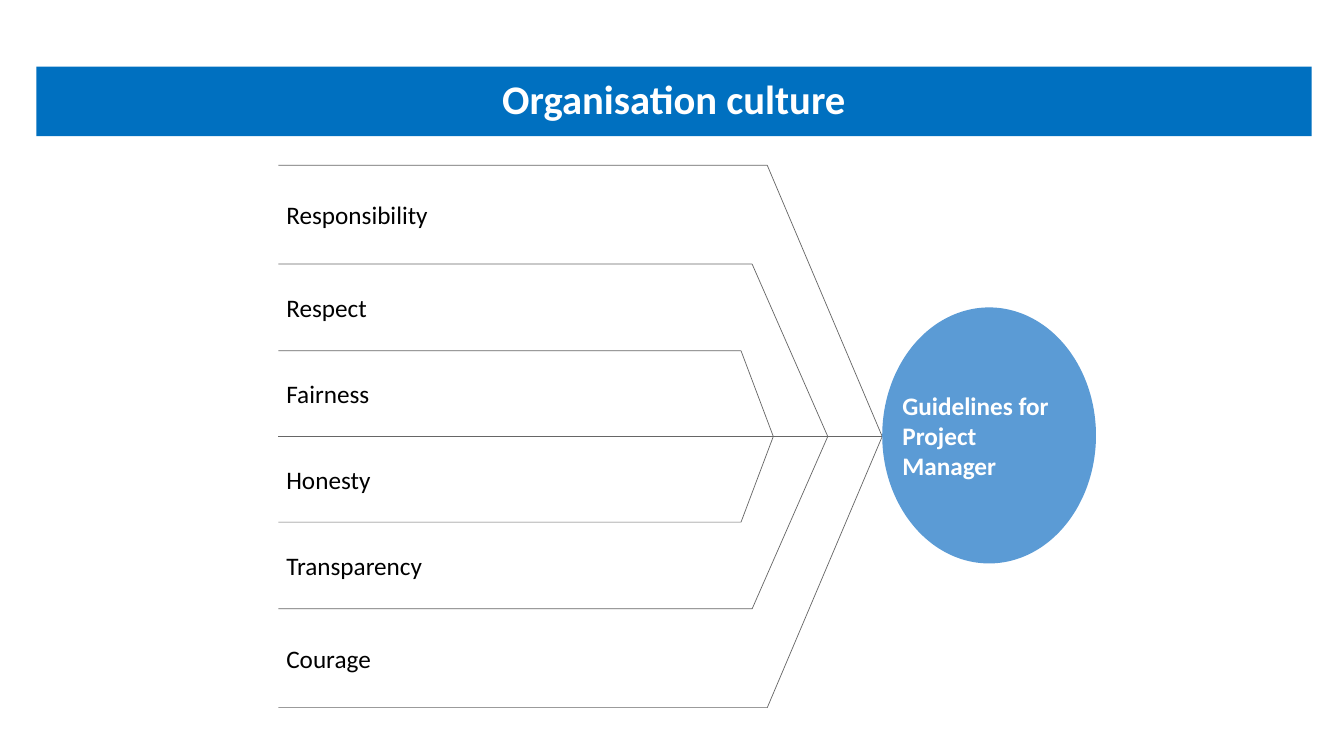
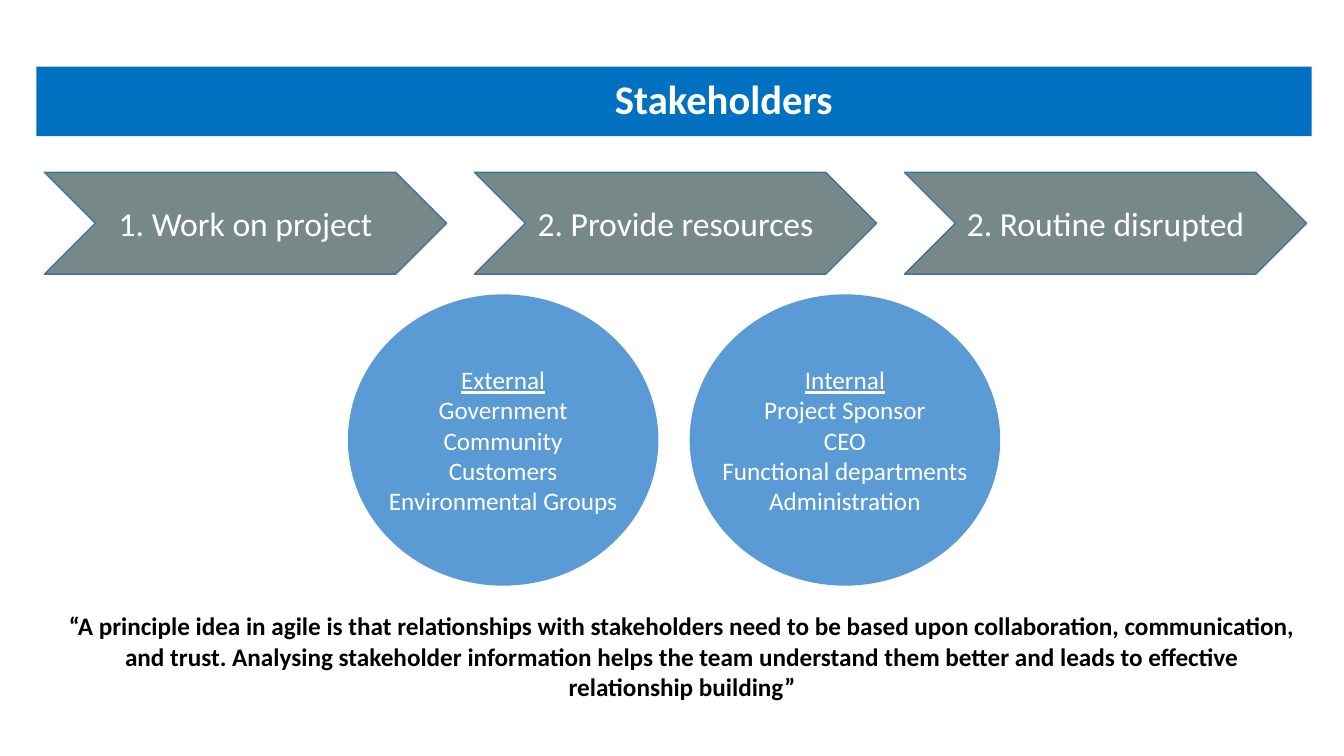
from pptx import Presentation
from pptx.dml.color import RGBColor
from pptx.enum.shapes import MSO_SHAPE
from pptx.enum.text import MSO_ANCHOR, PP_ALIGN
from pptx.util import Inches, Pt

RECTANGLE, OVAL, CHEVRON = MSO_SHAPE.RECTANGLE, MSO_SHAPE.OVAL, MSO_SHAPE.CHEVRON
LEFT, CENTER = PP_ALIGN.LEFT, PP_ALIGN.CENTER
TOP, MIDDLE = MSO_ANCHOR.TOP, MSO_ANCHOR.MIDDLE

FONT = "Calibri"
WHITE = RGBColor(0xFF, 0xFF, 0xFF)
BLACK = RGBColor(0x00, 0x00, 0x00)
BAND_BLUE = RGBColor(0x00, 0x70, 0xC0)
OVAL_BLUE = RGBColor(0x5B, 0x9B, 0xD5)
STEP_GREY = RGBColor(0x77, 0x88, 0x88)
STEP_EDGE = RGBColor(0x43, 0x73, 0x9E)
BONE_GREY = RGBColor(0x66, 0x66, 0x66)

SLIDE_SIZE = (13.33, 7.5)
TITLE_BAND = (0.36, 0.66, 12.65, 0.69)
STAKEHOLDER_INDENT = 1.09
TIGHT_INSET = 0.08

VALUES = ["Responsibility", "Respect", "Fairness", "Honesty", "Transparency", "Courage"]
GUIDELINES = ["Guidelines for", "Project Manager"]
GUIDELINES_OVAL = (8.75, 3.05, 2.12, 2.54)
GUIDELINES_MARGIN = 0.12
BONE_LEFT, SPINE, LABEL_WIDTH = 2.76, 4.33, 4.59
# distance from the spine, x of the knee, x of the tip
BONES = [(2.69, 7.61, 8.75), (1.71, 7.46, 8.21), (0.85, 7.35, 7.67)]

STEPS = ["1. Work on project", "2. Provide resources", "2. Routine disrupted"]
STEPS_LEFT, STEPS_RIGHT, STEP_TOP = 0.44, 12.96, 1.71
STEP_WIDTH, STEP_HEIGHT = 3.99, 1.01

GROUPS = [
    ("External", ["Government", "Community", "Customers", "Environmental Groups"]),
    ("Internal", ["Project Sponsor", "CEO", "Functional departments", "Administration"]),
]
GROUP_LEFT, GROUP_TOP, GROUP_PITCH = 3.45, 2.92, 3.39
GROUP_WIDTH, GROUP_HEIGHT = 3.08, 2.89

QUOTE = (
    "“A principle idea in agile is that relationships with stakeholders need to be "
    "based upon collaboration, communication, and trust. Analysing stakeholder "
    "information helps the team understand them better and leads to effective "
    "relationship building”"
)
QUOTE_BOX = (0.56, 6.01, 12.41, 1.01)


def write(shape, lines, size=18, color=WHITE, bold=False, align=CENTER,
          anchor=MIDDLE, inset=None, wrap=True, underline_first=False):
    frame = shape.text_frame
    frame.word_wrap = wrap
    frame.vertical_anchor = anchor
    if inset is not None:
        frame.margin_left = frame.margin_right = Inches(inset)
        frame.margin_top = frame.margin_bottom = Inches(inset)
    for index, line in enumerate(lines):
        paragraph = frame.add_paragraph() if index else frame.paragraphs[0]
        paragraph.alignment = align
        run = paragraph.add_run()
        run.text = line
        run.font.name, run.font.size = FONT, Pt(size)
        run.font.bold, run.font.color.rgb = bold, color
        if underline_first and index == 0:
            run.font.underline = True


def add_filled(slide, kind, box, fill, edge=None):
    shape = slide.shapes.add_shape(kind, *map(Inches, box))
    shape.shadow.inherit = False
    shape.fill.solid()
    shape.fill.fore_color.rgb = fill
    if edge is None:
        shape.line.fill.background()
    else:
        shape.line.color.rgb = edge
        shape.line.width = Pt(1)
    return shape


def add_text(slide, box, lines, **style):
    write(slide.shapes.add_textbox(*map(Inches, box)), lines, **style)


def add_titled_slide(deck, title, indent=0.1):
    slide = deck.slides.add_slide(deck.slide_layouts[6])
    band = add_filled(slide, RECTANGLE, TITLE_BAND, BAND_BLUE)
    write(band, [title], size=29, bold=True)
    band.text_frame.margin_left = Inches(indent)
    band.text_frame.paragraphs[0].line_spacing = 0.9
    return slide


def add_bone(slide, edge, knee, tip):
    """Draw one open outline from the edge line, over the knee, back along the spine."""
    points = [(knee, edge), (tip, SPINE), (BONE_LEFT, SPINE)]
    builder = slide.shapes.build_freeform(Inches(BONE_LEFT), Inches(edge))
    builder.add_line_segments([(Inches(x), Inches(y)) for x, y in points], close=False)
    bone = builder.convert_to_shape()
    bone.shadow.inherit = False
    bone.fill.background()
    bone.line.color.rgb = BONE_GREY
    bone.line.width = Pt(0.5)


def build_culture(deck):
    slide = add_titled_slide(deck, "Organisation culture")
    for side in (1, -1):
        for distance, knee, tip in BONES:
            add_bone(slide, SPINE + side * distance, knee, tip)

    distances = [distance for distance, _, _ in BONES]
    edges = [SPINE - d for d in distances] + [SPINE] + [SPINE + d for d in reversed(distances)]
    for value, top, bottom in zip(VALUES, edges, edges[1:]):
        add_text(slide, (BONE_LEFT, top, LABEL_WIDTH, bottom - top), [value],
                 color=BLACK, align=LEFT, inset=TIGHT_INSET)

    # The label is wider than an oval's own text area, so it has its own box.
    add_filled(slide, OVAL, GUIDELINES_OVAL, OVAL_BLUE)
    left, top, width, height = GUIDELINES_OVAL
    label_box = (left + GUIDELINES_MARGIN, top, width - 2 * GUIDELINES_MARGIN, height)
    add_text(slide, label_box, GUIDELINES, bold=True, align=LEFT,
             inset=TIGHT_INSET, wrap=False)


def build_stakeholders(deck):
    slide = add_titled_slide(deck, "Stakeholders", STAKEHOLDER_INDENT)
    step_pitch = (STEPS_RIGHT - STEPS_LEFT - STEP_WIDTH) / (len(STEPS) - 1)
    for index, step in enumerate(STEPS):
        box = (STEPS_LEFT + index * step_pitch, STEP_TOP, STEP_WIDTH, STEP_HEIGHT)
        write(add_filled(slide, CHEVRON, box, STEP_GREY, STEP_EDGE), [step], size=24)

    for index, (heading, members) in enumerate(GROUPS):
        box = (GROUP_LEFT + index * GROUP_PITCH, GROUP_TOP, GROUP_WIDTH, GROUP_HEIGHT)
        write(add_filled(slide, OVAL, box, OVAL_BLUE), [heading, *members],
              inset=TIGHT_INSET, wrap=False, underline_first=True)

    add_text(slide, QUOTE_BOX, [QUOTE], color=BLACK, bold=True, anchor=TOP)


def main():
    deck = Presentation()
    deck.slide_width, deck.slide_height = map(Inches, SLIDE_SIZE)
    build_culture(deck)
    build_stakeholders(deck)
    deck.save("out.pptx")


if __name__ == "__main__":
    main()
